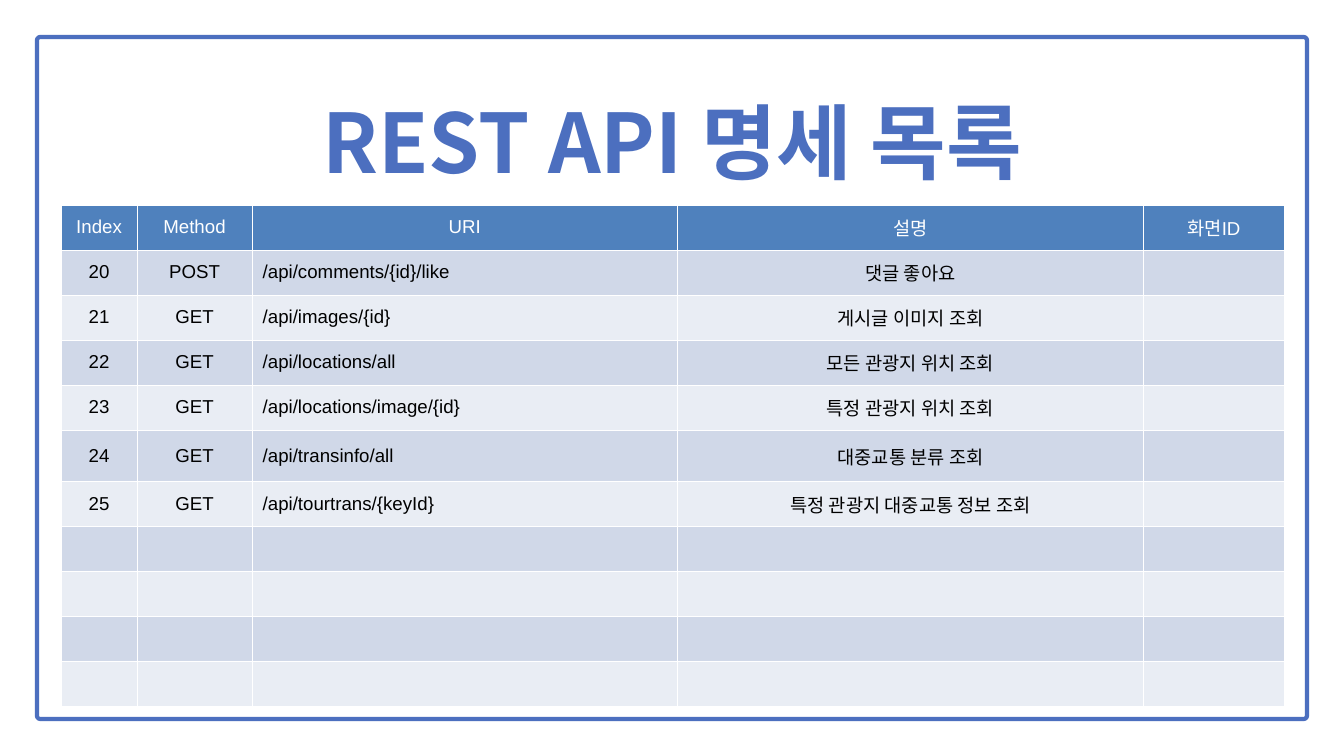
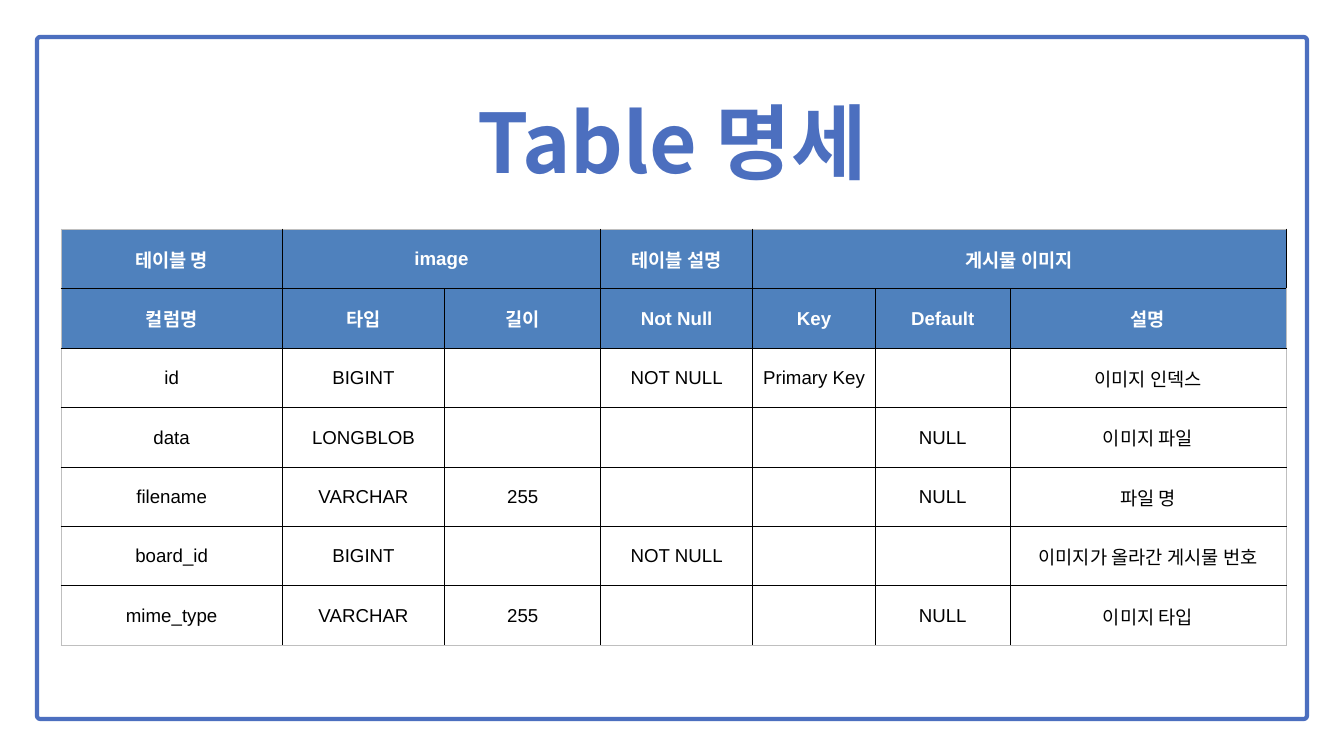
from lxml import etree
from pptx import Presentation
from pptx import util as u
from pptx.dml.color import RGBColor
from pptx.enum import shapes, text
from pptx.oxml import ns

INDIGO = RGBColor(0x4C, 0x6F, 0xBF)
HEADER_BLUE = RGBColor(0x4F, 0x81, 0xBD)
BAND_DARK = RGBColor(0xD0, 0xD8, 0xE8)
BAND_LIGHT = RGBColor(0xE9, 0xED, 0xF4)
GRAY = RGBColor(0xBF, 0xBF, 0xBF)
WHITE = RGBColor(0xFF, 0xFF, 0xFF)
BLACK = RGBColor(0x00, 0x00, 0x00)

GRID_COLUMNS, GRID_ROWS = 20, 11.25
KOREAN_FONT = "Noto Sans CJK KR"
LATIN_FONT = "Arial"
CENTER, LEFT = text.PP_ALIGN.CENTER, text.PP_ALIGN.LEFT

ENDPOINTS = [
    ("20", "POST", "/api/comments/{id}/like", "댓글 좋아요", ""),
    ("21", "GET", "/api/images/{id}", "게시글 이미지 조회", ""),
    ("22", "GET", "/api/locations/all", "모든 관광지 위치 조회", ""),
    ("23", "GET", "/api/locations/image/{id}", "특정 관광지 위치 조회", ""),
    ("24", "GET", "/api/transinfo/all", "대중교통 분류 조회", ""),
    ("25", "GET", "/api/tourtrans/{keyId}", "특정 관광지 대중교통 정보 조회", ""),
]
ENDPOINT_HEADER = ("Index", "Method", "URI", "설명", "화면ID")
SPARE_ENDPOINTS = [("",) * len(ENDPOINT_HEADER)] * 4

IMAGE_HEADERS = [
    ("테이블 명", "image", "", "테이블 설명", "게시물 이미지", "", ""),
    ("컬럼명", "타입", "길이", "Not Null", "Key", "Default", "설명"),
]
IMAGE_FIELDS = [
    ("id", "BIGINT", "", "NOT NULL", "Primary Key", "", "이미지 인덱스"),
    ("data", "LONGBLOB", "", "", "", "NULL", "이미지 파일"),
    ("filename", "VARCHAR", "255", "", "", "NULL", "파일 명"),
    ("board_id", "BIGINT", "", "NOT NULL", "", "", "이미지가 올라간 게시물 번호"),
    ("mime_type", "VARCHAR", "255", "", "", "NULL", "이미지 타입"),
]


def write(frame, words, *, size=20, font=LATIN_FONT, color=BLACK, bold=False,
          align=CENTER, spacing=None):
    paragraph = frame.paragraphs[0]
    paragraph.alignment = align
    paragraph.line_spacing = spacing
    if not words:
        return
    run = paragraph.add_run()
    run.text = words
    run.font.size = u.Pt(size)
    run.font.name = font
    run.font.bold = bold
    run.font.color.rgb = color
    east_asian = etree.SubElement(run.font._element, ns.qn("a:ea"))
    east_asian.set("typeface", KOREAN_FONT)


def draw_border(cell, side, color):
    properties = cell._tc.get_or_add_tcPr()
    line = etree.SubElement(properties, ns.qn(f"a:ln{side}"), w=str(u.Pt(1)))
    fill = etree.SubElement(line, ns.qn("a:solidFill"))
    etree.SubElement(fill, ns.qn("a:srgbClr"), val=str(color))


class Deck:
    def __init__(self):
        self.presentation = Presentation()
        self.presentation.slide_width = u.Inches(20)
        self.presentation.slide_height = u.Inches(11.25)
        self.slide = None

    def across(self, columns):
        return round(self.presentation.slide_width * columns / GRID_COLUMNS)

    def down(self, rows):
        return round(self.presentation.slide_height * rows / GRID_ROWS)

    def box(self, left, top, width, height):
        return self.across(left), self.down(top), self.across(width), self.down(height)

    def start(self, heading):
        self.slide = self.presentation.slides.add_slide(self.presentation.slide_layouts[5])
        self.frame()
        self.title(heading)

    def frame(self):
        outline = self.slide.shapes.add_shape(
            shapes.MSO_SHAPE.ROUNDED_RECTANGLE, *self.box(0.55, 0.55, 18.9, 10.15))
        outline.adjustments[0] = 0.005
        outline.shadow.inherit = False
        outline.fill.solid()
        outline.fill.fore_color.rgb = WHITE
        outline.line.color.rgb = INDIGO
        outline.line.width = u.Pt(4.5)

    def title(self, heading):
        title = self.slide.shapes.title
        self.slide.shapes._spTree.append(title._element)
        title.left, title.top, title.width, title.height = self.box(0.6, 1.1, 18.8, 1.75)
        body = title.text_frame
        body.margin_left = body.margin_top = body.margin_right = body.margin_bottom = 0
        body.vertical_anchor = text.MSO_ANCHOR.TOP
        body.word_wrap = True
        body.auto_size = text.MSO_AUTO_SIZE.SHAPE_TO_FIT_TEXT
        write(body, heading, size=88, font=KOREAN_FONT, color=INDIGO, bold=True, spacing=1.18)

    def table(self, left, top, widths, heights, headers, records, *, margins,
              inner, outer, bands=(), bold_header=False, left_column=None, spans=()):
        lines = [*headers, *records]
        place = self.box(left, top, sum(widths), sum(heights))
        grid = self.slide.shapes.add_table(len(lines), len(widths), *place).table
        for column, width in zip(grid.columns, widths):
            column.width = self.across(width)
        for row, height in zip(grid.rows, heights):
            row.height = self.down(height)
        for row, first, last in spans:
            grid.cell(row, first).merge(grid.cell(row, last))
        for r, line in enumerate(lines):
            is_header = r < len(headers)
            for c, words in enumerate(line):
                cell = grid.cell(r, c)
                edges = {"L": c == 0, "R": c == len(widths) - 1,
                         "T": r == 0, "B": r == len(lines) - 1}
                for side, at_edge in edges.items():
                    draw_border(cell, side, outer if at_edge else inner)
                if is_header or bands:
                    cell.fill.solid()
                    cell.fill.fore_color.rgb = (
                        HEADER_BLUE if is_header else bands[(r - len(headers)) % len(bands)])
                else:
                    cell.fill.background()
                cell.vertical_anchor = text.MSO_ANCHOR.MIDDLE
                (cell.margin_left, cell.margin_top,
                 cell.margin_right, cell.margin_bottom) = map(u.Inches, margins)
                write(cell.text_frame, words,
                      color=WHITE if is_header else BLACK,
                      bold=is_header and bold_header,
                      align=LEFT if c == left_column and not is_header else CENTER)


def main():
    deck = Deck()

    deck.start("REST API 명세 목록")
    deck.table(0.91, 3.05, [1.13, 1.71, 6.33, 6.94, 2.09],
               [0.67] * 5 + [0.77] + [0.67] * 5,
               [ENDPOINT_HEADER], ENDPOINTS + SPARE_ENDPOINTS,
               margins=(0.16, 0.08, 0.16, 0.08), inner=WHITE, outer=WHITE,
               bands=(BAND_DARK, BAND_LIGHT), left_column=2)

    deck.start("Table 명세")
    deck.table(0.91, 3.41, [3.29, 2.42, 2.32, 2.26, 1.83, 2, 4.11], [0.885] * 7,
               IMAGE_HEADERS, IMAGE_FIELDS,
               margins=(0.01, 0.01, 0.01, 0), inner=BLACK, outer=GRAY,
               bold_header=True, spans=[(0, 1, 2), (0, 4, 6)])

    deck.presentation.save("out.pptx")


if __name__ == "__main__":
    main()
